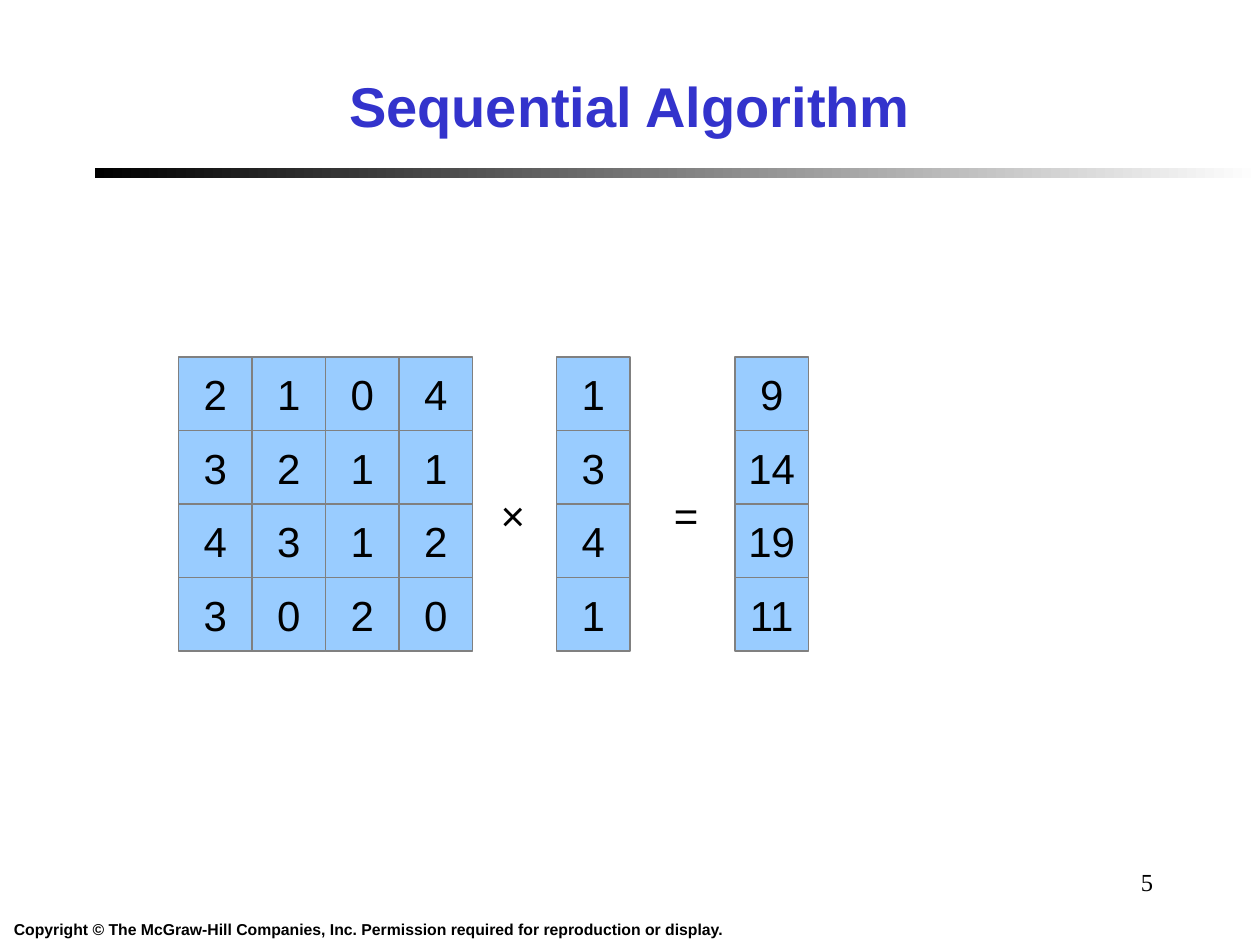
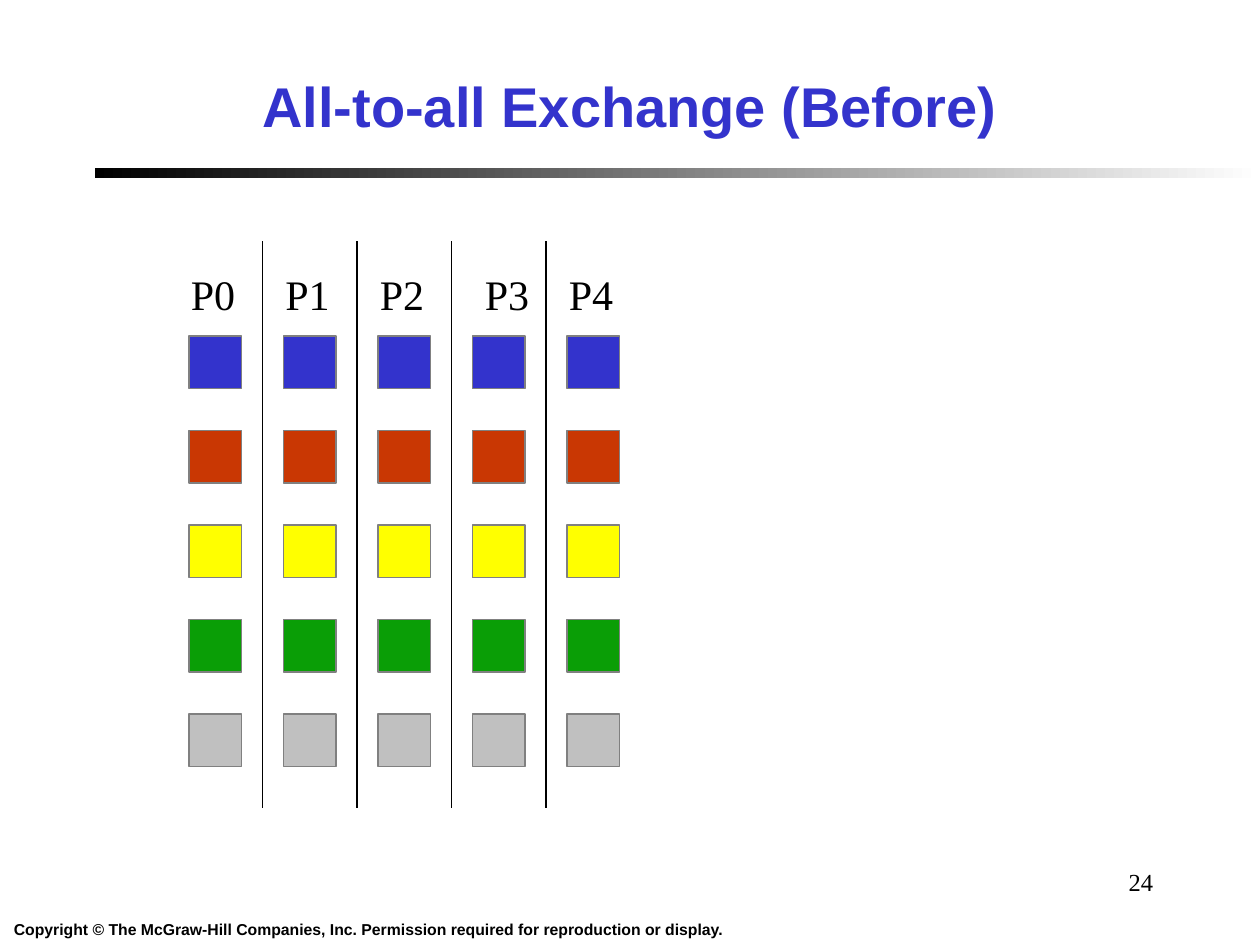
from dataclasses import dataclass

from pptx import Presentation
from pptx.dml.color import RGBColor
from pptx.enum.shapes import MSO_CONNECTOR, MSO_SHAPE
from pptx.enum.text import MSO_ANCHOR, PP_ALIGN
from pptx.oxml.ns import qn
from pptx.util import Emu, Pt

RECTANGLE = MSO_SHAPE.RECTANGLE
STRAIGHT = MSO_CONNECTOR.STRAIGHT
TOP, MIDDLE = MSO_ANCHOR.TOP, MSO_ANCHOR.MIDDLE
LEFT, CENTER, RIGHT = PP_ALIGN.LEFT, PP_ALIGN.CENTER, PP_ALIGN.RIGHT

EMU_PER_PX = 9525
SLIDE_WIDTH, SLIDE_HEIGHT = 960, 720


@dataclass(frozen=True)
class Theme:
    sans: str = "Arial"
    serif: str = "Times New Roman"
    title_size: int = 32
    body_size: int = 24
    number_size: int = 14
    copyright_size: int = 9
    line_width: float = 0.75
    ink: str = "000000"
    paper: str = "FFFFFF"
    title: str = "3333CC"
    cell: str = "99CCFF"
    outline: str = "808080"
    block_rows: tuple = ("3333CC", "C93703", "FFFF00", "0A9E06", "C0C0C0")


THEME = Theme()
COPYRIGHT = ("Copyright © The McGraw-Hill Companies, Inc. "
             "Permission required for reproduction or display.")
MATRIX = ((2, 1, 0, 4), (3, 2, 1, 1), (4, 3, 1, 2), (3, 0, 2, 0))
VECTOR = ((1,), (3,), (4,), (1,))
PRODUCT = ((9,), (14,), (19,), (11,))


def px(length):
    return Emu(length * EMU_PER_PX)


def rgb(color):
    return RGBColor.from_string(color)


def write(shape, text, size, font=THEME.sans, color=THEME.ink, bold=False,
          align=LEFT, anchor=TOP, wrap=False):
    frame = shape.text_frame
    frame.word_wrap = wrap
    frame.vertical_anchor = anchor
    paragraph = frame.paragraphs[0]
    paragraph.text = text
    paragraph.alignment = align
    paragraph.font.name = font
    paragraph.font.size = Pt(size)
    paragraph.font.bold = bold
    paragraph.font.color.rgb = rgb(color)


def add_text(slide, box, text, size, **style):
    write(slide.shapes.add_textbox(*map(px, box)), text, size, **style)


def add_square(slide, left, top, side, color):
    square = slide.shapes.add_shape(RECTANGLE, px(left), px(top), px(side), px(side))
    square.shadow.inherit = False
    square.fill.solid()
    square.fill.fore_color.rgb = rgb(color)
    square.line.color.rgb = rgb(THEME.outline)
    square.line.width = Pt(THEME.line_width)
    return square


def add_divider(slide, x, top, bottom):
    divider = slide.shapes.add_connector(STRAIGHT, px(x), px(top), px(x), px(bottom))
    divider.line.color.rgb = rgb(THEME.ink)
    divider.line.width = Pt(THEME.line_width)
    properties = divider._element.spPr
    properties.append(properties.makeelement(qn("a:effectLst"), {}))


def add_title_band(slide, left, top, width, height):
    band = slide.shapes.add_shape(RECTANGLE, px(left), px(top), px(width), px(height))
    band.shadow.inherit = False
    band.line.fill.background()
    band.fill.gradient()
    band.fill.gradient_angle = 0
    for stop, position, color in zip(band.fill.gradient_stops, (0, 1),
                                     (THEME.ink, THEME.paper)):
        stop.position = position
        stop.color.rgb = rgb(color)


def add_framed_slide(presentation, title, number):
    slide = presentation.slides.add_slide(presentation.slide_layouts[6])
    add_title_band(slide, 72, 128, SLIDE_WIDTH - 72, 8)
    add_text(slide, (0, SLIDE_HEIGHT - 24, 561, 24), COPYRIGHT,
             THEME.copyright_size, bold=True, align=CENTER)
    add_text(slide, (688, 656, 200, 48), str(number), THEME.number_size,
             font=THEME.serif, align=RIGHT, wrap=True)
    add_text(slide, (24, 32, SLIDE_WIDTH - 48, 96), title, THEME.title_size,
             color=THEME.title, bold=True, align=CENTER, anchor=MIDDLE, wrap=True)
    return slide


def add_matrix(slide, left, top, rows, side=56):
    for row, values in enumerate(rows):
        for column, value in enumerate(values):
            cell = add_square(slide, left + column * side, top + row * side,
                              side, THEME.cell)
            write(cell, str(value), THEME.body_size, align=CENTER, anchor=MIDDLE)


def add_product_equation(slide, left, top):
    for offset, rows in ((0, MATRIX), (288, VECTOR), (424, PRODUCT)):
        add_matrix(slide, left + offset, top, rows)
    for offset, width, operator in ((236, 44, "×"), (368, 37, "=")):
        add_text(slide, (left + offset, top + 96, width, 48), operator, THEME.body_size)


def add_process_columns(slide, left, top, height):
    pitch, side = 72, 40
    label_shifts = (0, 0, 0, 8, 0)
    for process, shift in enumerate(label_shifts):
        x = left + process * pitch
        add_text(slide, (x + shift, top + 16, 53, 48), f"P{process}",
                 THEME.body_size, font=THEME.serif)
        for row, color in enumerate(THEME.block_rows):
            add_square(slide, x + 8, top + 72 + row * pitch, side, color)
        if process:
            add_divider(slide, x - 8, top, top + height)


def main():
    presentation = Presentation()
    presentation.slide_width = px(SLIDE_WIDTH)
    presentation.slide_height = px(SLIDE_HEIGHT)
    sequential = add_framed_slide(presentation, "Sequential Algorithm", 5)
    add_product_equation(sequential, 136, 272)
    exchange = add_framed_slide(presentation, "All-to-all Exchange (Before)", 24)
    add_process_columns(exchange, 136, 184, 432)
    presentation.save("out.pptx")


if __name__ == "__main__":
    main()
